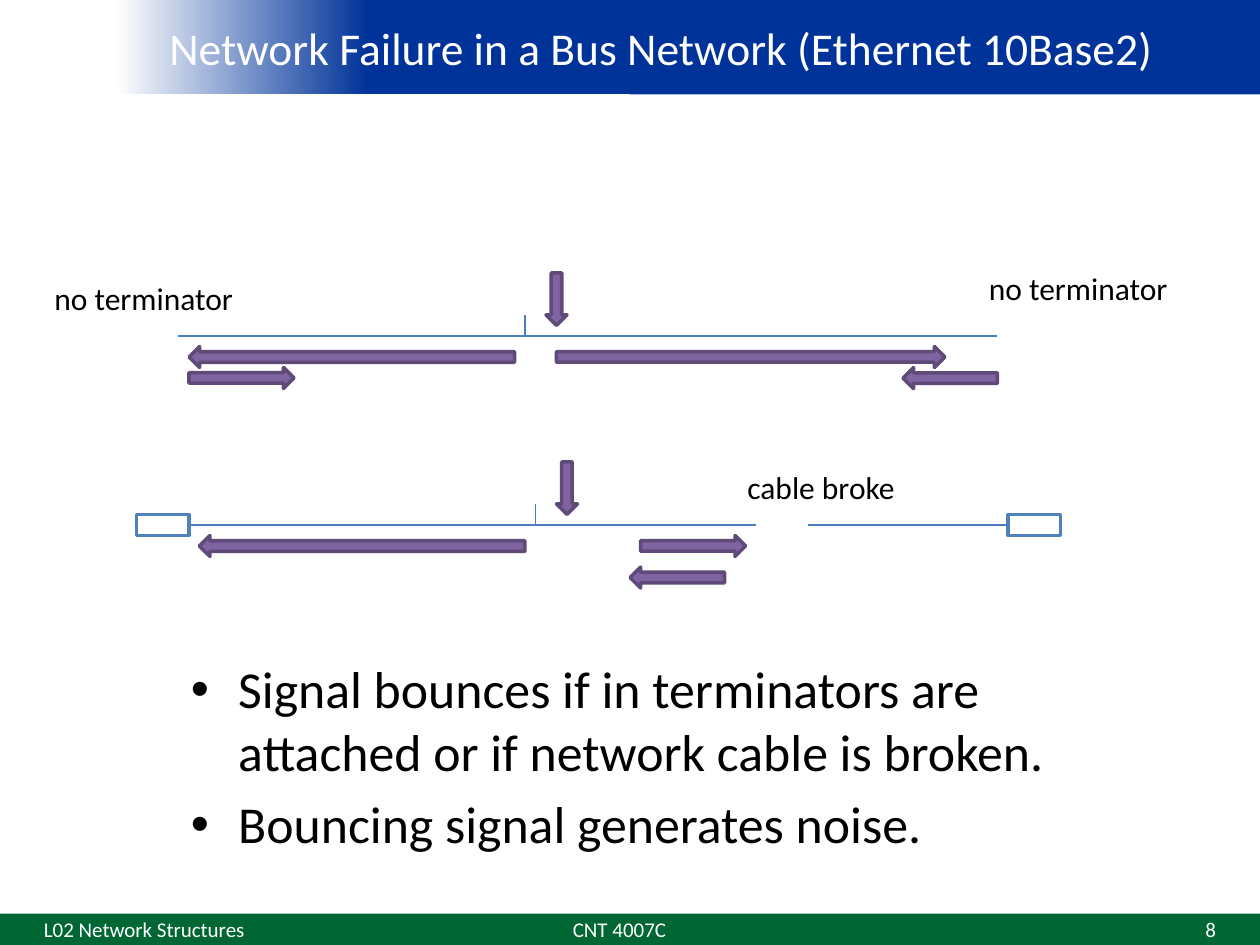
import pptx
import pptx.dml.color
import pptx.enum.shapes
import pptx.enum.text
import pptx.oxml
import pptx.oxml.ns
import pptx.util

Pt = pptx.util.Pt
SHAPES = pptx.enum.shapes.MSO_SHAPE
ALIGN = pptx.enum.text.PP_ALIGN
ANCHOR = pptx.enum.text.MSO_ANCHOR
FONT = "Calibri"
BLUE, GREEN, WHITE, BLACK = "003399", "006633", "FFFFFF", "000000"
CABLE, TERMINATOR = "4B7EBC", "4F81BD"
SIGNAL, SIGNAL_EDGE = "8064A2", "5F4A78"
THICK = 12

TITLE = "Network Failure in a Bus Network (Ethernet 10Base2)"
BULLETS = [
    "Signal bounces if in terminators are attached or if network cable is broken.",
    "Bouncing signal generates noise.",
]
FOOTERS = [  # text, left, width, alignment
    ("L02 Network Structures", 18, 168, ALIGN.LEFT),
    ("CNT 4007C", 240, 228, ALIGN.CENTER),
    ("8", 534, 168, ALIGN.RIGHT),
]
LABELS = [  # text, left, top, width
    ("no terminator", 24, 156, 119),
    ("no terminator", 558, 150, 119),
    ("cable broke", 420, 264, 100),
]
BUSES = [
    {
        "y": 192, "tap": 300, "source": 312,
        "cables": [(102, 570)],
        "terminators": [],
        "signals": [  # from, to, depth below cable
            (318, 540, 6), (294, 108, 6), (108, 168, 18), (570, 516, 18),
        ],
    },
    {
        "y": 300, "tap": 306, "source": 318,
        "cables": [(108, 432), (462, 576)],
        "terminators": [78, 576],
        "signals": [(300, 114, 6), (366, 426, 6), (414, 360, 24)],
    },
]


def color(value):
    return pptx.dml.color.RGBColor.from_string(value)


def add_box(slide, kind, left, top, width, height, fill, line=None):
    shape = slide.shapes.add_shape(kind, Pt(left), Pt(top), Pt(width), Pt(height))
    shape.shadow.inherit = False
    shape.fill.solid()
    shape.fill.fore_color.rgb = color(fill)
    if line:
        shape.line.color.rgb = color(line)
        shape.line.width = Pt(2)
    else:
        shape.line.fill.background()
    return shape


def add_line(slide, x1, y1, x2, y2):
    line = slide.shapes.add_connector(
        pptx.enum.shapes.MSO_CONNECTOR.STRAIGHT, Pt(x1), Pt(y1), Pt(x2), Pt(y2))
    line.line.color.rgb = color(CABLE)
    line.line.width = Pt(0.75)
    line._element.spPr.append(pptx.oxml.parse_xml(
        f"<a:effectLst {pptx.oxml.ns.nsdecls('a')}/>"))
    return line


def add_text(slide, text, left, top, width, height, size, ink,
             align=ALIGN.LEFT, anchor=ANCHOR.TOP, wrap=True):
    box = slide.shapes.add_textbox(Pt(left), Pt(top), Pt(width), Pt(height))
    frame = box.text_frame
    frame.text = text
    frame.word_wrap = wrap
    frame.vertical_anchor = anchor
    for paragraph in frame.paragraphs:
        paragraph.alignment = align
        for run in paragraph.runs:
            run.font.name = FONT
            run.font.size = Pt(size)
            run.font.color.rgb = color(ink)
    return frame


def add_bullet(paragraph):
    properties = paragraph._p.get_or_add_pPr()
    properties.set("marL", str(Pt(27)))
    properties.set("indent", str(-Pt(27)))
    namespace = pptx.oxml.ns.nsdecls("a")
    properties.append(pptx.oxml.parse_xml(f'<a:buFont {namespace} typeface="Arial"/>'))
    properties.append(pptx.oxml.parse_xml(f'<a:buChar {namespace} char="•"/>'))


def add_bands(slide):
    add_box(slide, SHAPES.RECTANGLE, 360, 0, 360, 54, BLUE)
    fade = add_box(slide, SHAPES.RECTANGLE, 54, 0, 306, 54, BLUE)
    fade.fill.gradient()
    fade.fill.gradient_angle = 180
    for stop, position, tint in zip(fade.fill.gradient_stops, (0.49, 0.96), (BLUE, WHITE)):
        stop.position = position
        stop.color.rgb = color(tint)
    add_box(slide, SHAPES.RECTANGLE, 0, 522, 720, 18, GREEN)


def add_bus(slide, bus):
    y = bus["y"]
    terminators = [
        add_box(slide, SHAPES.RECTANGLE, left, y - 6, 30, THICK, WHITE, TERMINATOR)
        for left in bus["terminators"]]
    cables = [add_line(slide, start, y, end, y) for start, end in bus["cables"]]
    if terminators:
        cables[0].begin_connect(terminators[0], 3)
        cables[-1].end_connect(terminators[-1], 1)
    add_line(slide, bus["tap"], y - 12, bus["tap"], y)
    add_box(slide, SHAPES.DOWN_ARROW, bus["source"], y - 36, THICK, 30, SIGNAL, SIGNAL_EDGE)
    for start, end, depth in bus["signals"]:
        arrow = add_box(slide, SHAPES.RIGHT_ARROW, min(start, end), y + depth,
                        abs(end - start), THICK, SIGNAL, SIGNAL_EDGE)
        if end < start:
            arrow.rotation = 180


def main():
    presentation = pptx.Presentation()
    presentation.slide_width, presentation.slide_height = Pt(720), Pt(540)
    slide = presentation.slides.add_slide(presentation.slide_layouts[6])
    add_bands(slide)
    add_text(slide, TITLE, 54, 0, 648, 54, 26, WHITE, ALIGN.CENTER, ANCHOR.MIDDLE)
    body = add_text(slide, "\n".join(BULLETS), 102, 372, 522, 120, 29.6, BLACK)
    for paragraph in body.paragraphs:
        add_bullet(paragraph)
    for paragraph in body.paragraphs[1:]:
        paragraph.space_before = Pt(6)
    for bus in BUSES:
        add_bus(slide, bus)
    for text, left, top, width in LABELS:
        label = add_text(slide, text, left, top, width, 29, 18, BLACK, wrap=False)
        label.auto_size = pptx.enum.text.MSO_AUTO_SIZE.SHAPE_TO_FIT_TEXT
    for text, left, width, align in FOOTERS:
        add_text(slide, text, left, 522, width, 18, 12, WHITE, align, ANCHOR.MIDDLE)
    presentation.save("out.pptx")


if __name__ == "__main__":
    main()
